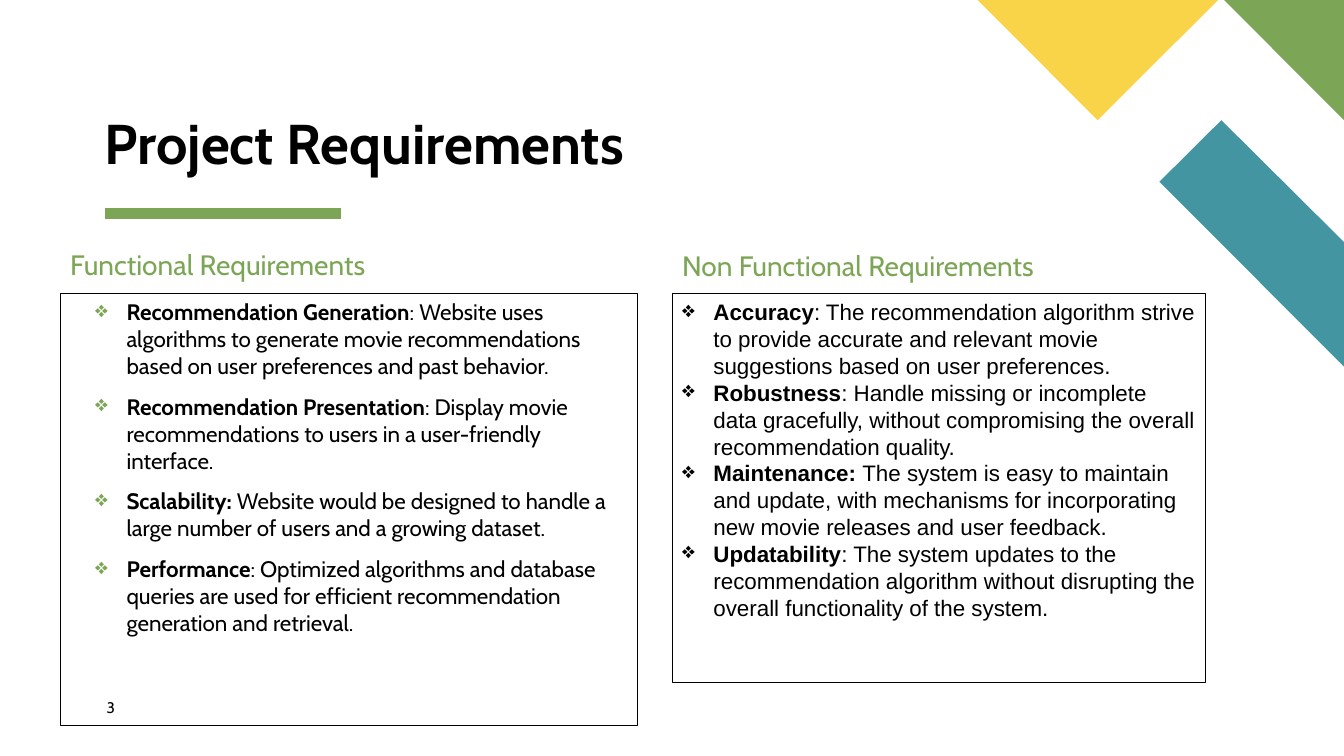
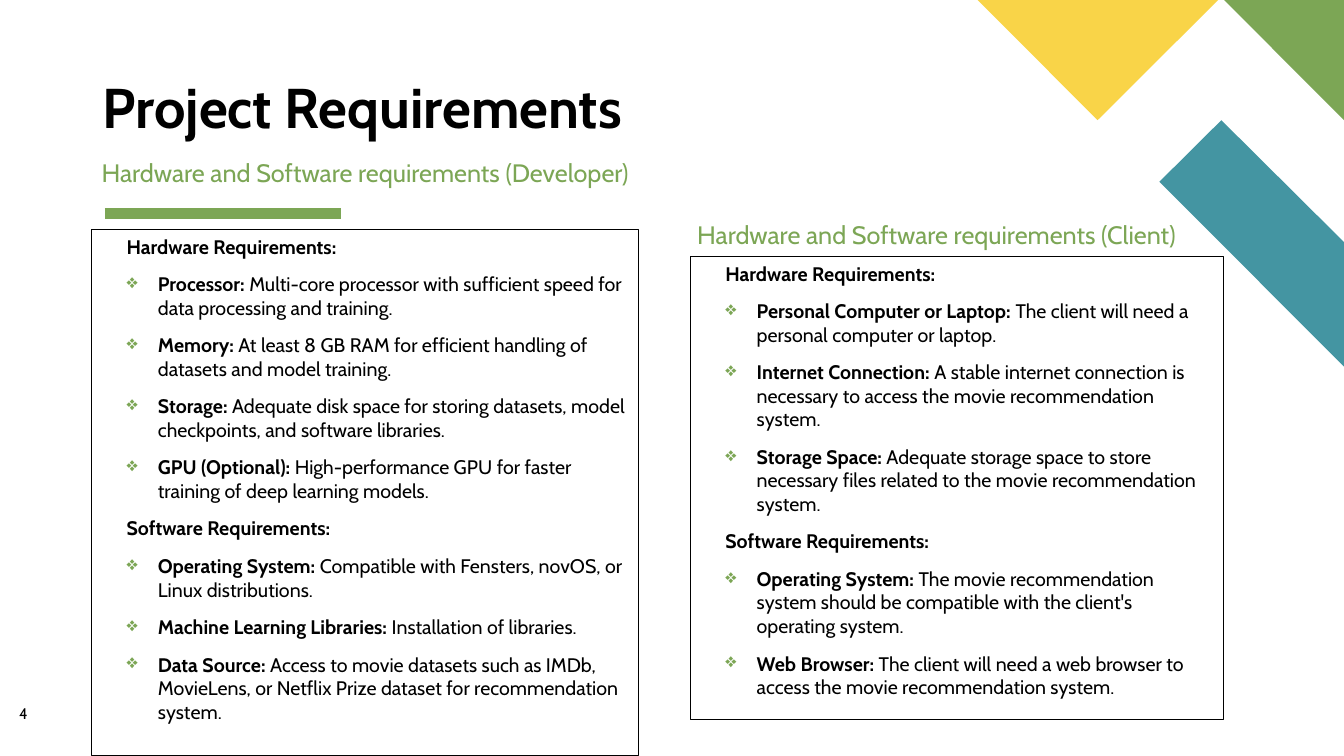
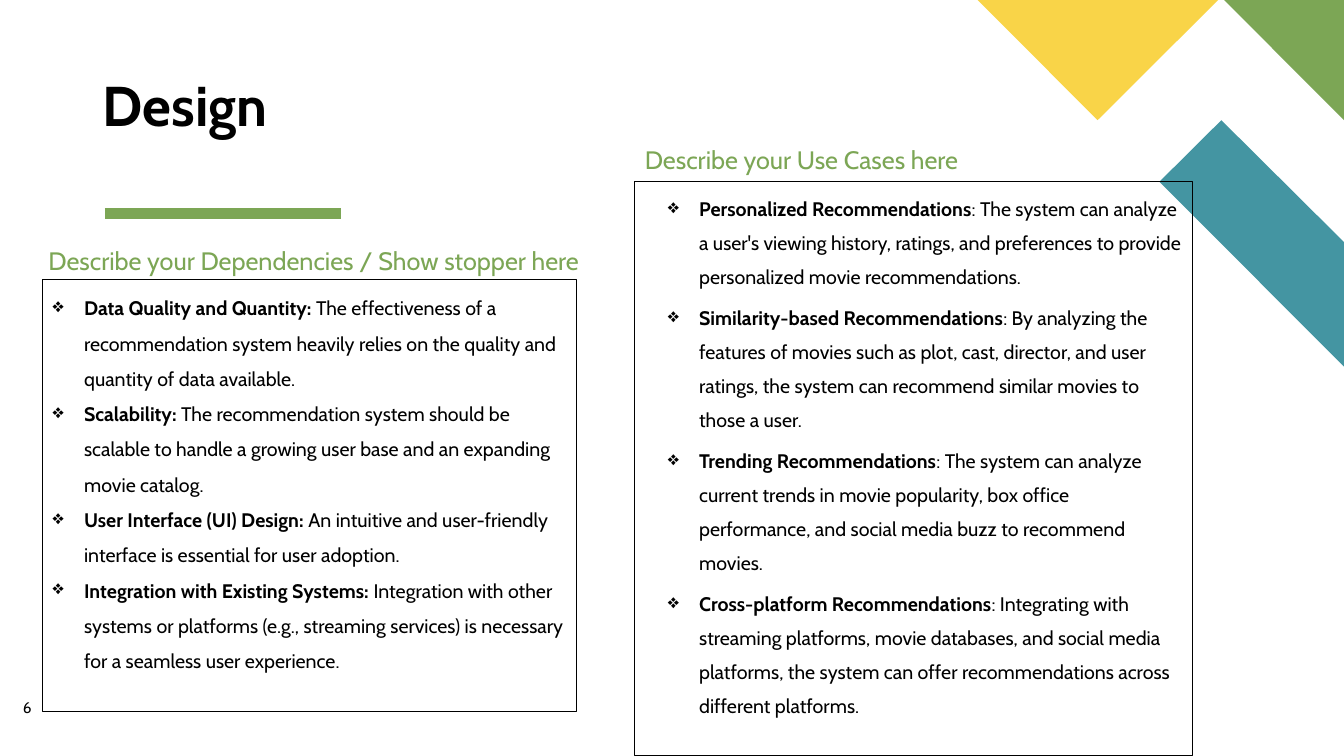
import dataclasses

import lxml.etree
import pptx
import pptx.dml.color
import pptx.enum.shapes
import pptx.enum.text
import pptx.oxml.ns
import pptx.util

Cm = pptx.util.Cm
Pt = pptx.util.Pt
qn = pptx.oxml.ns.qn


@dataclasses.dataclass(frozen=True)
class Theme:
    black: str = "000000"
    green: str = "7CA655"
    teal: str = "4495A2"
    gold: str = "F9D448"
    font: str = "Cabin"
    plain: str = "Arial"
    title: float = 40
    large: float = 20
    head: float = 18
    text: float = 16
    small: float = 14
    page: float = 11
    rule: float = 8
    edge: float = 0.75


THEME = Theme()

SHARDS = [
    (THEME.teal, [(33.87, 9.24), (33.87, 6.1), (30.78, 3.03), (29.22, 4.58)]),
    (THEME.green, [(33.87, 3.03), (33.87, 0), (30.85, 0)]),
    (THEME.gold, [(24.64, 0), (27.66, 3.03), (30.7, 0)]),
]

NEEDS = [
    ("Recommendation Generation", ": Website uses algorithms to generate movie recommendations based on user preferences and past behavior."),
    ("Recommendation Presentation", ": Display movie recommendations to users in a user-friendly interface."),
    ("Scalability: ", "Website would be designed to handle a large number of users and a growing dataset."),
    ("Performance", ": Optimized algorithms and database queries are used for efficient recommendation generation and retrieval."),
]
TRAITS = [
    ("Accuracy", ": The recommendation algorithm strive to provide accurate and relevant movie suggestions based on user preferences."),
    ("Robustness", ": Handle missing or incomplete data gracefully, without compromising the overall recommendation quality."),
    ("Maintenance: ", "The system is easy to maintain and update, with mechanisms for incorporating new movie releases and user feedback."),
    ("Updatability", ": The system updates to the recommendation algorithm without disrupting the overall functionality of the system."),
]
MAKER = [
    ("Hardware Requirements:", ""),
    ("Processor: ", "Multi-core processor with sufficient speed for data processing and training."),
    ("Memory: ", "At least 8 GB RAM for efficient handling of datasets and model training."),
    ("Storage: ", "Adequate disk space for storing datasets, model checkpoints, and software libraries."),
    ("GPU (Optional): ", "High-performance GPU for faster training of deep learning models."),
    ("Software Requirements:", ""),
    ("Operating System: ", "Compatible with Fensters, novOS, or Linux distributions."),
    ("Machine Learning Libraries: ", "Installation of libraries."),
    ("Data Source: ", "Access to movie datasets such as IMDb, MovieLens, or Netflix Prize dataset for recommendation system."),
]
CLIENT = [
    ("Hardware Requirements:", ""),
    ("Personal Computer or Laptop: ", "The client will need a personal computer or laptop."),
    ("Internet Connection: ", "A stable internet connection is necessary to access the movie recommendation system."),
    ("Storage Space: ", "Adequate storage space to store necessary files related to the movie recommendation system."),
    ("Software Requirements:", ""),
    ("Operating System: ", "The movie recommendation system should be compatible with the client's operating system."),
    ("Web Browser: ", "The client will need a web browser to access the movie recommendation system."),
]
CASES = [
    ("Personalized Recommendations", ": The system can analyze a user's viewing history, ratings, and preferences to provide personalized movie recommendations."),
    ("Similarity-based Recommendations", ": By analyzing the features of movies such as plot, cast, director, and user ratings, the system can recommend similar movies to those a user."),
    ("Trending Recommendations", ": The system can analyze current trends in movie popularity, box office performance, and social media buzz to recommend movies."),
    ("Cross-platform Recommendations", ": Integrating with streaming platforms, movie databases, and social media platforms, the system can offer recommendations across different platforms."),
]
RISKS = [
    ("Data Quality and Quantity: ", "The effectiveness of a recommendation system heavily relies on the quality and quantity of data available."),
    ("Scalability: ", "The recommendation system should be scalable to handle a growing user base and an expanding movie catalog."),
    ("User Interface (UI) Design: ", "An intuitive and user-friendly interface is essential for user adoption."),
    ("Integration with Existing Systems: ", "Integration with other systems or platforms (e.g., streaming services) is necessary for a seamless user experience."),
]


def assign(item, values):
    for name, value in values.items():
        setattr(item, name, value)


def tint(code):
    return pptx.dml.color.RGBColor.from_string(code)


class Deck:
    def __init__(self, theme):
        self.theme = theme
        self.show = pptx.Presentation()
        assign(self.show, {"slide_width": Cm(33.87), "slide_height": Cm(19.05)})
        self.slide = None

    def start(self):
        self.slide = self.show.slides.add_slide(self.show.slide_layouts[6])
        rule = self.slide.shapes.add_connector(
            pptx.enum.shapes.MSO_CONNECTOR.STRAIGHT, Cm(2.64), Cm(5.38), Cm(8.59), Cm(5.38))
        rule.line.width = Pt(self.theme.rule)
        rule.line.color.rgb = tint(self.theme.green)
        lxml.etree.SubElement(rule._element.spPr, qn("a:effectLst"))
        for color, spots in SHARDS:
            self.shard(color, [(Cm(x), Cm(y)) for x, y in spots])

    def shard(self, color, spots):
        build = self.slide.shapes.build_freeform(*spots[0])
        build.add_line_segments(spots[1:], close=True)
        shape = build.convert_to_shape()
        shape.shadow.inherit = False
        shape.fill.solid()
        shape.fill.fore_color.rgb = tint(color)
        shape.line.fill.background()

    def frame(self, shape, pad=(0, 0), anchor="TOP"):
        side, end = map(Cm, pad)
        frame = shape.text_frame
        assign(frame, {
            "word_wrap": True,
            "margin_left": side, "margin_right": side,
            "margin_top": end, "margin_bottom": end,
            "vertical_anchor": pptx.enum.text.MSO_ANCHOR[anchor],
        })
        return frame

    def phrase(self, para, text, size, color=None, bold=False, font=None):
        run = para.add_run()
        run.text = text
        assign(run.font, {"name": font or self.theme.font, "size": Pt(size), "bold": bold})
        run.font.color.rgb = tint(color or self.theme.black)

    def label(self, place, text, size, color=None, bold=False, pad=(0, 0),
              anchor="TOP", pitch=0.9):
        box = self.slide.shapes.add_textbox(*map(Cm, place))
        para = self.frame(box, pad, anchor).paragraphs[0]
        para.line_spacing = pitch
        self.phrase(para, text, size, color, bold)

    def title(self, place, text):
        self.label(place, text, self.theme.title, bold=True, anchor="BOTTOM")

    def head(self, place, text, size=None):
        self.label(place, text, size or self.theme.head, self.theme.green, pad=(0.25, 0.13))

    def page(self, left, top, number):
        self.label((left, top, 1.45, 0.69), str(number), self.theme.page, pitch=1.0)

    def bullet(self, para, left, color):
        props = para._p.get_or_add_pPr()
        props.set("marL", str(Cm(left)))
        props.set("indent", str(-Cm(0.79)))
        shade = lxml.etree.SubElement(props, qn("a:buClr"))
        lxml.etree.SubElement(shade, qn("a:srgbClr")).set("val", color)
        lxml.etree.SubElement(props, qn("a:buChar")).set("char", "❖")

    def panel(self, place, items, size, left=0.79, color=None, gap=0, pitch=1.0, font=None):
        box = self.slide.shapes.add_shape(
            pptx.enum.shapes.MSO_SHAPE.RECTANGLE, *map(Cm, place))
        box.shadow.inherit = False
        box.fill.background()
        box.line.width = Pt(self.theme.edge)
        box.line.color.rgb = tint(self.theme.black)
        frame = self.frame(box, (0.25, 0.13))
        for index, (lead, rest) in enumerate(items):
            para = frame.add_paragraph() if index else frame.paragraphs[0]
            if rest:
                self.bullet(para, left, color or self.theme.black)
            else:
                para._p.get_or_add_pPr().set("marL", str(Cm(left - 0.79)))
            assign(para, {
                "alignment": pptx.enum.text.PP_ALIGN.LEFT,
                "line_spacing": pitch,
                "space_before": Pt(gap if index else 0),
            })
            self.phrase(para, lead, size, bold=True, font=font)
            if rest:
                self.phrase(para, rest, size, font=font)


def main():
    deck = Deck(THEME)
    green = {"left": 1.42, "color": THEME.green, "gap": 10}

    deck.start()
    deck.title((2.64, 3.25, 16.05, 1.2), "Project Requirements")
    deck.head((1.52, 6.2, 14.55, 1.2), "Functional Requirements", THEME.large)
    deck.panel((1.52, 7.39, 14.55, 10.9), NEEDS, THEME.text, **green)
    deck.page(2.69, 17.58, 3)
    deck.head((16.94, 6.23, 14.27, 1.27), "Non Functional Requirements", THEME.large)
    deck.panel((16.94, 7.39, 13.44, 9.8), TRAITS, THEME.text, pitch=Pt(19.2), font=THEME.plain)

    deck.start()
    deck.title((2.59, 2.34, 16.05, 1.2), "Project Requirements")
    deck.head((2.31, 3.91, 15.19, 1.07), "Hardware and Software requirements (Developer)")
    deck.panel((2.31, 5.78, 13.79, 13.27), MAKER, THEME.small, **green)
    deck.page(0.48, 17.75, 4)
    deck.head((17.32, 5.48, 13.44, 1.12), "Hardware and Software requirements (Client)")
    deck.panel((17.4, 6.46, 13.44, 11.68), CLIENT, THEME.small, **green)

    deck.start()
    deck.title((2.59, 1.8, 16.05, 1.7), "Design")
    deck.head((16, 3.6, 13.44, 0.9), "Describe your Use Cases here")
    deck.panel((16, 4.57, 14.05, 14.48), CASES, THEME.small, left=1.37, gap=5, pitch=Pt(24.3))
    deck.page(0.58, 17.58, 6)
    deck.head((0.97, 6.15, 14.27, 0.9), "Describe your Dependencies / Show stopper here")
    deck.panel((1.08, 7.04, 13.44, 10.9), RISKS, THEME.small, pitch=1.5)

    deck.show.save("out.pptx")


if __name__ == "__main__":
    main()
